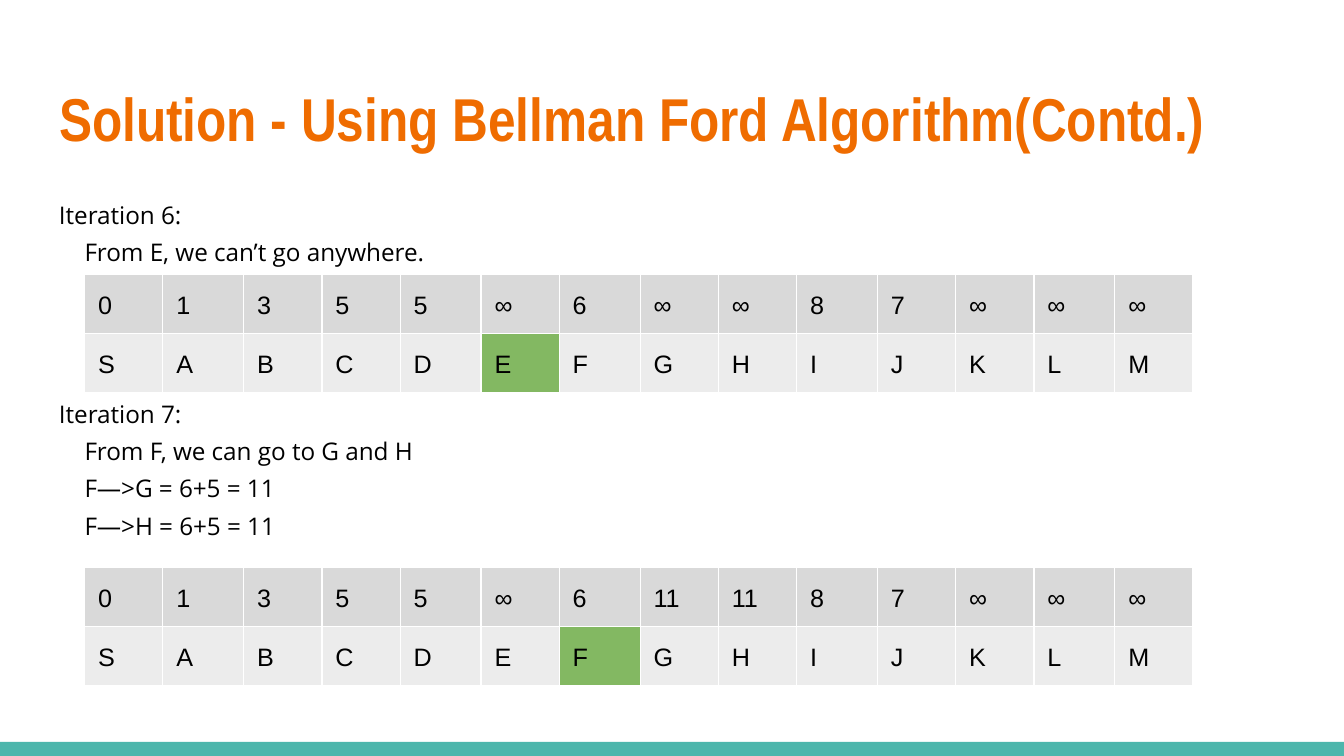
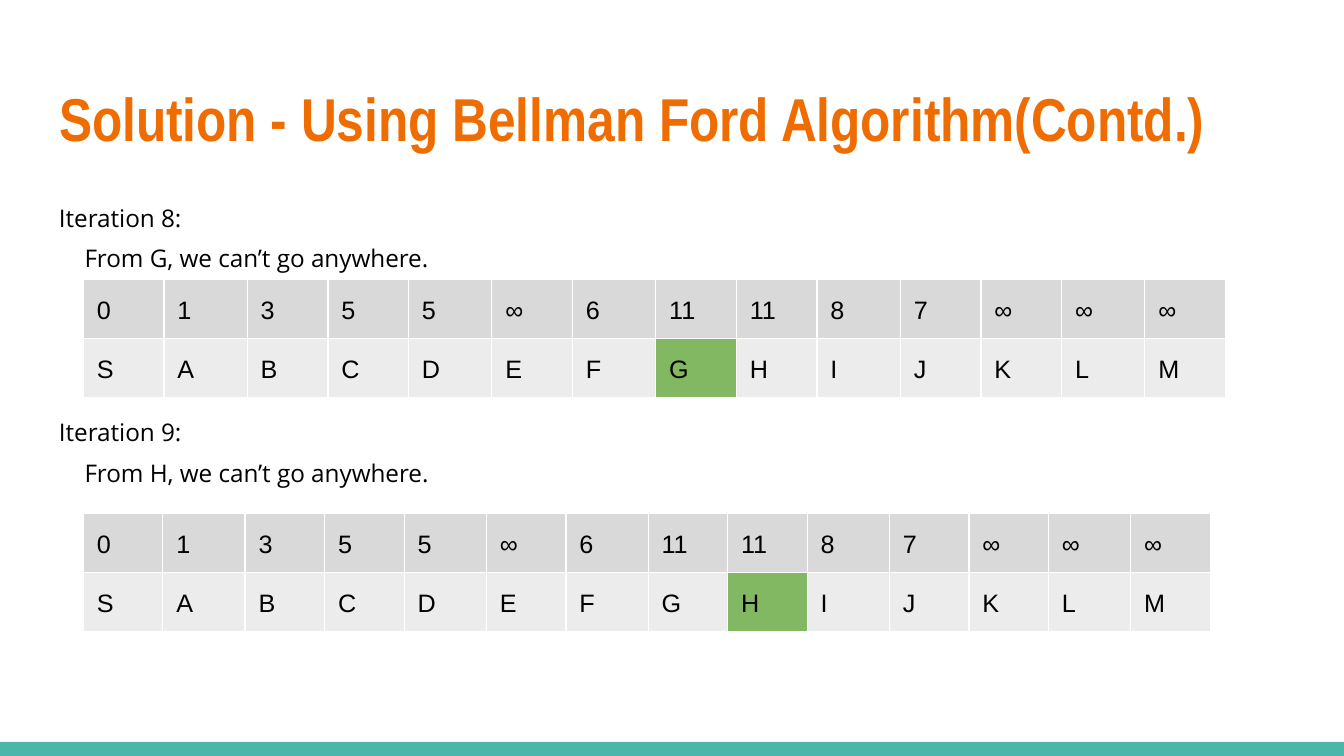
from dataclasses import dataclass

from lxml.etree import SubElement as Sub
from pptx import Presentation
from pptx.dml.color import RGBColor as RGB
from pptx.enum.shapes import MSO_SHAPE as Shape
from pptx.enum.text import MSO_ANCHOR as Anchor, MSO_AUTO_SIZE as Fit, PP_ALIGN as Align
from pptx.oxml.ns import qn
from pptx.util import Inches, Pt


@dataclass(frozen=True)
class Theme:
    paper: str = "FFFFFF"
    ink: str = "000000"
    title: str = "EF6C00"
    band: str = "4DB6AC"
    costs: str = "D9D9D9"
    nodes: str = "ECECEC"
    mark: str = "83B862"
    head_font: str = "Arial Narrow"
    body_font: str = "Open Sans"
    cell_font: str = "Arial"
    head_size: float = 32.4
    body_size: float = 13
    cell_size: float = 13.5
    cell_lead: float = 1.15
    rule: float = 0.75


UNIT = Inches(0.1)  # one grid cell: 100 columns, 56.25 rows
COLS, ROWS = 100, 56.25
INSET = UNIT
LEFT, WIDE = 3.4, 93.2
LINE = 1.36  # height of a body line as a share of its type size
GAP = 3.6  # points between body lines
NODES = "SABCDEFGHIJKLM"
BROAD = {1, 4, 6, 9, 12}  # columns a little wider than the rest
EXTRA = 0.2
TITLE = "Solution - Using Bellman Ford Algorithm(Contd.)"
EARLY = "0 1 3 5 5 ∞ 6 ∞ ∞ 8 7 ∞ ∞ ∞".split()
LATE = "0 1 3 5 5 ∞ 6 11 11 8 7 ∞ ∞ ∞".split()


def box(*cells):
    return [round(n * UNIT) for n in cells]


class Deck:
    def __init__(self, theme):
        self.theme = theme
        self.prs = Presentation()
        self.prs.slide_width, self.prs.slide_height = box(COLS, ROWS)
        self.slide = None

    def start(self, title):
        self.slide = self.prs.slides.add_slide(self.prs.slide_layouts[5])
        fill = self.slide.background.fill
        fill.solid()
        fill.fore_color.rgb = RGB.from_string(self.theme.paper)
        self.band()
        self.title(title)

    def style(self, para, face, size, color, bold=False):
        font = para.font
        font.name, font.size, font.bold = face, Pt(size), bold
        font.color.rgb = RGB.from_string(color)
        para.alignment = Align.LEFT

    def frame(self, frame, anchor):
        frame.word_wrap = True
        frame.auto_size = Fit.NONE
        frame.vertical_anchor = anchor
        frame.margin_left = frame.margin_right = INSET
        frame.margin_top = frame.margin_bottom = INSET

    def band(self):
        bar = self.slide.shapes.add_shape(Shape.RECTANGLE, *box(0, 55.2, COLS, ROWS - 55.2))
        bar.shadow.inherit = False
        bar.fill.solid()
        bar.fill.fore_color.rgb = RGB.from_string(self.theme.band)
        bar.line.fill.background()

    def title(self, text):
        t = self.theme
        head = self.slide.shapes.title
        head.left, head.top, head.width, head.height = box(LEFT, 4.9, WIDE, 7.7)
        self.frame(head.text_frame, Anchor.MIDDLE)
        head.text_frame.text = text
        self.style(head.text_frame.paragraphs[0], t.head_font, t.head_size, t.title, True)

    def body(self, parts, lead):
        """Write each heading with its indented steps, leaving room for a table between parts."""
        t = self.theme
        frame = self.slide.shapes.add_textbox(*box(LEFT, 13.8, WIDE, 36.1)).text_frame
        self.frame(frame, Anchor.TOP)
        room = GAP + 3 * (LINE * t.body_size * lead + GAP)
        for i, (head, *steps) in enumerate(parts):
            for j, text in enumerate([head, *steps]):
                first = i == j == 0
                para = frame.paragraphs[0] if first else frame.add_paragraph()
                para.text = text
                para.line_spacing = lead
                if not first:
                    para.space_before = Pt(GAP if j else round(room, 1))
                if j:
                    para._p.get_or_add_pPr().set("marL", str(Inches(0.19)))
                self.style(para, t.body_font, t.body_size, t.ink)

    def table(self, left, top, width, costs, mark):
        """Show the cost of every node; width is that of a plain column."""
        t = self.theme
        sizes = [width + EXTRA * (i in BROAD) for i in range(len(NODES))]
        grid = self.slide.shapes.add_table(
            2, len(NODES), *box(left, top, sum(sizes), 8.6)).table
        grid.first_row = grid.horz_banding = False
        for col, size in zip(grid.columns, sizes):
            col.width = round(size * UNIT)
        for r, (row, shade) in enumerate([(costs, t.costs), (NODES, t.nodes)]):
            for c, text in enumerate(row):
                self.cell(grid.cell(r, c), text, t.mark if r and text == mark else shade)

    def cell(self, cell, text, shade):
        t = self.theme
        cell.margin_left = cell.margin_right = INSET
        cell.margin_top = cell.margin_bottom = INSET
        cell.text = text
        para = cell.text_frame.paragraphs[0]
        para.line_spacing = t.cell_lead
        self.style(para, t.cell_font, t.cell_size, t.ink)
        props = cell._tc.get_or_add_tcPr()
        for side in "LRTB":
            line = Sub(props, qn(f"a:ln{side}"), w=str(Pt(t.rule)))
            Sub(Sub(line, qn("a:solidFill")), qn("a:srgbClr"), val=t.paper)
        cell.fill.solid()
        cell.fill.fore_color.rgb = RGB.from_string(shade)


def main():
    deck = Deck(Theme())

    deck.start(TITLE)
    deck.body([
        ["Iteration 6:", "From E, we can’t go anywhere."],
        ["Iteration 7:", "From F, we can go to G and H",
         "F—>G = 6+5 = 11", "F—>H = 6+5 = 11"],
    ], 1.05)
    deck.table(6.3, 20.4, 5.82, EARLY, "E")
    deck.table(6.3, 42.2, 5.82, LATE, "F")

    deck.start(TITLE)
    deck.body([
        ["Iteration 8:", "From G, we can’t go anywhere."],
        ["Iteration 9:", "From H, we can’t go anywhere."],
    ], 1.15)
    deck.table(6.2, 20.8, 6, LATE, "G")
    deck.table(6.2, 38.2, 5.92, LATE, "H")

    deck.prs.save("out.pptx")


if __name__ == "__main__":
    main()
